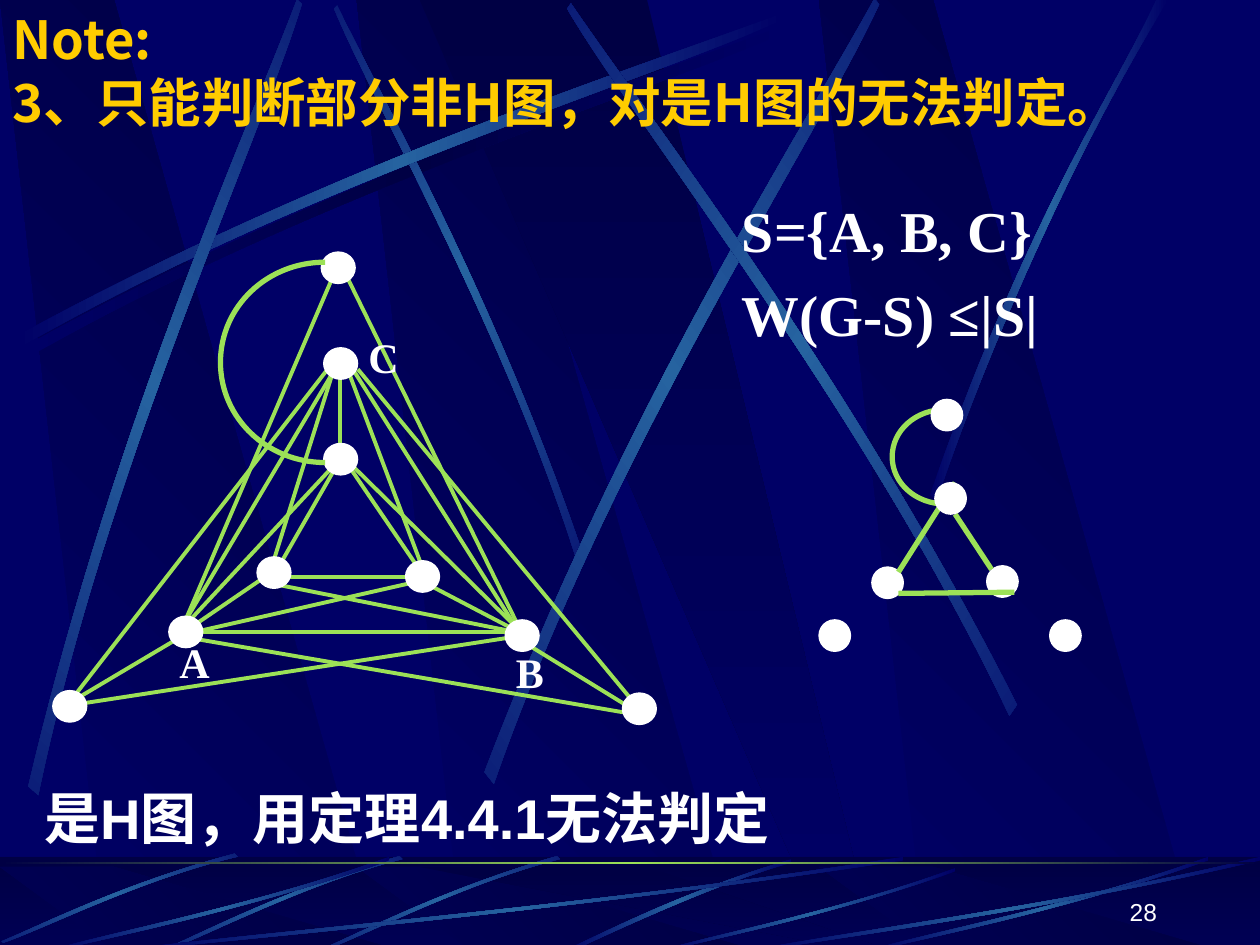
import copy
import lxml.etree
import pptx
import pptx.dml.color
import pptx.enum.shapes
import pptx.enum.text
import pptx.oxml.ns
import pptx.util

Pt = pptx.util.Pt
qn = pptx.oxml.ns.qn
rgb = pptx.dml.color.RGBColor.from_string
Kind = pptx.enum.shapes.MSO_SHAPE
Align = pptx.enum.text.PP_ALIGN
Anchor = pptx.enum.text.MSO_ANCHOR
hues = {"navy": "000066", "deep": "000044", "blue": "2663A0",
        "green": "9CE157", "gold": "FFCC00", "white": "FFFFFF"}

deck = pptx.Presentation()
deck.slide_width, deck.slide_height = Pt(720), Pt(540)
slide = deck.slides.add_slide(deck.slide_layouts[1])
shapes = slide.shapes
slide.background.fill.solid()
slide.background.fill.fore_color.rgb = rgb(hues["navy"])

forms = {
    "lean": [(0.28, 1), (1, 1), (0.3, 0), (0, 0)],
    "wide": [(0, 0), (0.9, 1), (1, 1), (0.5, 0)],
    "sweep": [(0, 0.96), (0.43, 0.43), (0.83, 0.15), (1, 0),
              (1, 0.02), (0.84, 0.19), (0.38, 0.5), (0, 1)],
    "side": [(0, 0.99), (0.4, 0.44), (0.79, 0.17), (0.95, 0),
             (1, 0), (0.52, 0.37), (0.16, 0.81), (0.03, 1)],
    "stem": [(1, 0), (0.5, 0.37), (0.16, 0.82), (0, 0.99),
             (0.03, 1), (0.23, 0.77), (0.68, 0.25), (1, 0.04)],
    "arc": [(1, 0), (0.45, 0), (0, 0.22), (0, 0.5),
            (0, 0.78), (0.45, 1), (1, 1)],
}
bends = {"sweep": (0, 4), "side": (0, 4), "stem": (0, 4), "arc": (0, 3)}


def draw(form, box, stops, slant=0, turn=0, flip=""):
    left, top, width, height = box
    if form == "box":
        part = shapes.add_shape(Kind.RECTANGLE, *map(Pt, box))
    else:
        spots = [(Pt(left + width * (1 - x if "h" in flip else x)),
                  Pt(top + height * (1 - y if "v" in flip else y)))
                 for x, y in forms[form]]
        pen = shapes.build_freeform(*spots[0])
        pen.add_line_segments(spots[1:], close=form != "arc")
        part = pen.convert_to_shape()
        legs = list(part._element.iter(qn("a:lnTo")))
        for start in bends.get(form, ()):
            curve = lxml.etree.Element(qn("a:cubicBezTo"))
            legs[start].addprevious(curve)
            for leg in legs[start:start + 3]:
                curve.append(leg[0])
                leg.getparent().remove(leg)
    part.rotation = turn
    part.shadow.inherit = False
    if form == "arc":
        part.fill.background()
        part.line.width = Pt(3)
        part.line.color.rgb = rgb(hues[stops[0]])
        return
    part.line.fill.background()
    part.fill.gradient()
    part.fill.gradient_angle = slant
    if len(stops) == 3:
        ramp = part._element.spPr.find(".//" + qn("a:gsLst"))
        ramp.insert(1, copy.deepcopy(ramp[0]))
    for i, (stop, hue) in enumerate(zip(part.fill.gradient_stops, stops)):
        stop.position = i / (len(stops) - 1)
        stop.color.rgb = rgb(hues[hue])


def write(frame, size, font, hue, align=Align.LEFT, bold=True):
    frame.word_wrap = True
    frame.auto_size = pptx.enum.text.MSO_AUTO_SIZE.NONE
    for para in frame.paragraphs:
        para.alignment = align
        for run in para.runs:
            run.font.size, run.font.bold, run.font.name = Pt(size), bold, font
            run.font.color.rgb = rgb(hues[hue])
            east = lxml.etree.SubElement(run._r.get_or_add_rPr(), qn("a:ea"))
            east.set("typeface", "Noto Sans CJK SC")


glow = ["navy", "blue", "navy"]
for top, height in ((0, 540), (495.4, 44.6)):
    if top:
        draw("box", (0, 489.6, 720, 50.4), ["deep", "navy"], 270)
    for left in (203.8, 0, 468):
        draw("lean", (left, top, 217.4, height), ["navy", "deep"], 45)
    draw("wide", (239.8, top, 259.9, height), ["deep", "navy"], 270)
    if not top:
        draw("sweep", (14.4, 13, 437.8, 192.2), ["navy", "deep", "navy"])
        for box, turn, flip in (
                ((101.5, 97.2, 318.2, 126), 45, "h"),
                ((10, 7.2, 437.8, 192.2), 0, ""),
                ((-123.1, 131, 437.8, 192.2), 311.7, ""),
                ((166.3, 115.2, 449.3, 216.7), 321.6, ""),
                ((232.6, 109.4, 437.8, 192.2), 34.7, "h")):
            draw("sweep", box, glow, turn=turn, flip=flip)
        draw("side", (531.4, 0, 136.1, 285.8), glow)

veil = shapes.add_shape(Kind.RECTANGLE, 0, Pt(489.6), Pt(720), Pt(50.4))
veil.shadow.inherit = False
veil.line.fill.background()
veil.fill.solid()
veil.fill.fore_color.rgb = rgb(hues["deep"])
tint = veil._element.spPr.find(".//" + qn("a:srgbClr"))
lxml.etree.SubElement(tint, qn("a:alpha")).set("val", "50000")

draw("stem", (322.6, 491, 129.6, 52.6), glow)
for box in ((185.8, 486.7, 132.5, 59.8), (95.8, 486.7, 132.5, 59.8),
            (3.6, 483.1, 129.6, 61.2)):
    draw("sweep", box, glow, turn=315, flip="h")
for box in ((72, 489.6, 444.2, 54), (30.2, 489.6, 192.2, 54),
            (379.4, 496.1, 166.3, 47.5), (498.2, 489.6, 192.2, 54),
            (432, 489.6, 288, 54)):
    draw("sweep", box, glow, flip="hv")
draw("box", (0, 492.5, 720, 1.5), ["deep", "green", "deep"])

title, body = shapes.title, slide.placeholders[1]
for part, box in ((title, (0, 0, 708, 80)), (body, (18, 444.2, 702, 77.8))):
    part.left, part.top, part.width, part.height = map(Pt, box)
    shapes._spTree.append(part._element)
title.text_frame.text = "Note:\v3、只能判断部分非H图，对是H图的无法判定。"
title.text_frame.vertical_anchor = Anchor.MIDDLE
write(title.text_frame, 30, "Noto Sans CJK SC", "gold")
body.text_frame.text = "是H图，用定理4.4.1无法判定"
para = body.text_frame.paragraphs[0]
props = para._p.get_or_add_pPr()
props.set("marL", str(Pt(27)))
props.set("indent", str(Pt(-27)))
lxml.etree.SubElement(props, qn("a:buNone"))
para.space_before = Pt(0)
write(body.text_frame, 32, "Arial", "white")

small = [(545.8, 275.8, 513.4, 326.9), (545.8, 293.8, 566.6, 325.4),
         (513.4, 339.1, 579.6, 338.4)]
large = [
    (162, 329.8, 234, 329.8), (194.4, 213.1, 194.4, 257.8),
    (110.2, 361.4, 300.2, 361.4), (192.2, 266.4, 158.4, 325.4),
    (199.4, 266.4, 242.6, 329.8), (190.1, 213.1, 154.1, 327.6),
    (190.1, 158.4, 103, 361.4), (197.3, 156.2, 295.9, 357.1),
    (199.4, 213.1, 242.6, 327.6), (201.6, 211, 298.1, 363.6),
    (190.1, 213.1, 105.8, 355), (204.5, 211, 360.7, 399.6),
    (187.2, 211, 41, 399.6), (297.4, 365.8, 362.9, 406.1),
    (103, 363.6, 362.9, 408.2), (244.8, 334.1, 293, 359.3),
    (151.2, 329.8, 108, 359.3), (100.1, 365.8, 43.2, 399.6),
    (158.4, 334.1, 295.9, 361.4), (48.2, 401.8, 295.9, 363.6),
    (201.6, 266.4, 295.9, 359.3), (110.2, 361.4, 240.5, 331.9),
    (108, 355, 194.4, 262.1)]
nodes = [(30.2, 394.6), (96.5, 352.1), (146.9, 318.2), (183.6, 144), (185, 198.7),
         (185, 253.4), (231.8, 320.4), (288.7, 354.2), (355.7, 396)]
lower = [(563.8, 323.3), (498.2, 324), (468, 354.2), (599.8, 354.2)]
upper = [(532.1, 228.2), (534.2, 275.8)]
layers = [
    ([], 3, None, lower, 18),
    (small, 3, (509.8, 234, 30.2, 54), upper, 18),
    (large, 2.25, None, nodes, 19.4),
    ([], 3, (126, 149.8, 59.8, 114.5), [], 18),
]
for edges, weight, arc, dots, size in layers:
    for edge in edges:
        line = shapes.add_connector(pptx.enum.shapes.MSO_CONNECTOR.STRAIGHT, *map(Pt, edge))
        line.line.width = Pt(weight)
        line.line.color.rgb = rgb(hues["green"])
        lxml.etree.SubElement(line._element.spPr, qn("a:effectLst"))
    if arc:
        draw("arc", arc, ["green"])
    for left, top in dots:
        node = shapes.add_shape(Kind.OVAL, Pt(left), Pt(top), Pt(size), Pt(18))
        node.shadow.inherit = False
        node.fill.solid()
        node.fill.fore_color.rgb = rgb(hues["white"])
        node.line.width = Pt(0.75)
        node.line.color.rgb = rgb(hues["white"])

for text, left, top in (("C", 192.2, 185.8), ("A", 84.2, 360), ("B", 275.8, 365.8)):
    label = shapes.add_textbox(Pt(left), Pt(top), Pt(54), Pt(36)).text_frame
    label.text = text
    write(label, 24, "Times New Roman", "white", Align.CENTER)

claim = shapes.add_textbox(Pt(416.9), Pt(100.1), Pt(198.7), Pt(103)).text_frame
claim.text = "S={A, B, C}\nW(G-S) ≤|S|"
for para in claim.paragraphs:
    para.line_spacing = 1.2
write(claim, 33, "Times New Roman", "white")

page = shapes.add_textbox(Pt(518.4), Pt(496.8), Pt(149.8), Pt(36)).text_frame
page.text = "28"
page.vertical_anchor = Anchor.BOTTOM
write(page, 14, "Arial", "white", Align.RIGHT, False)

deck.save("out.pptx")
